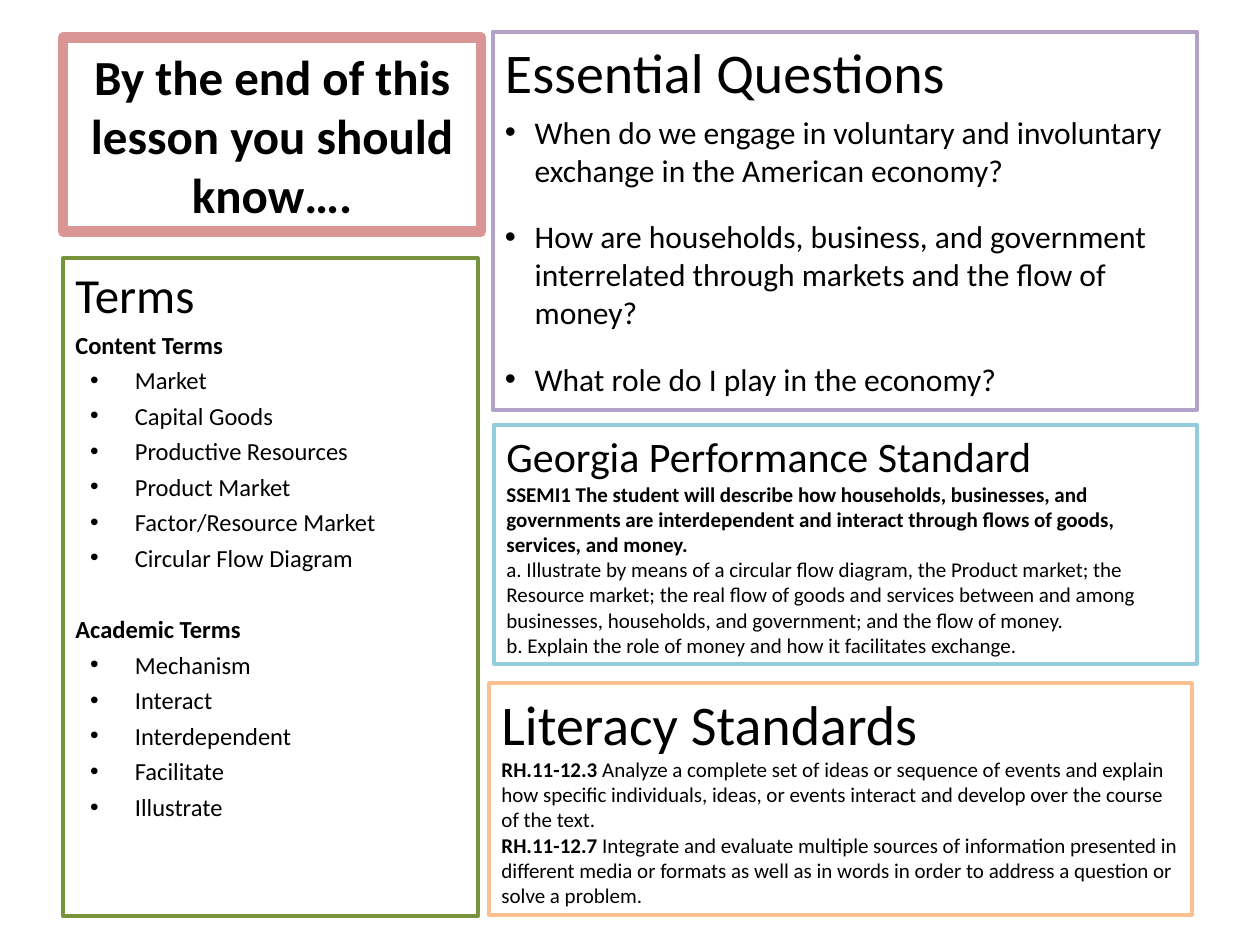
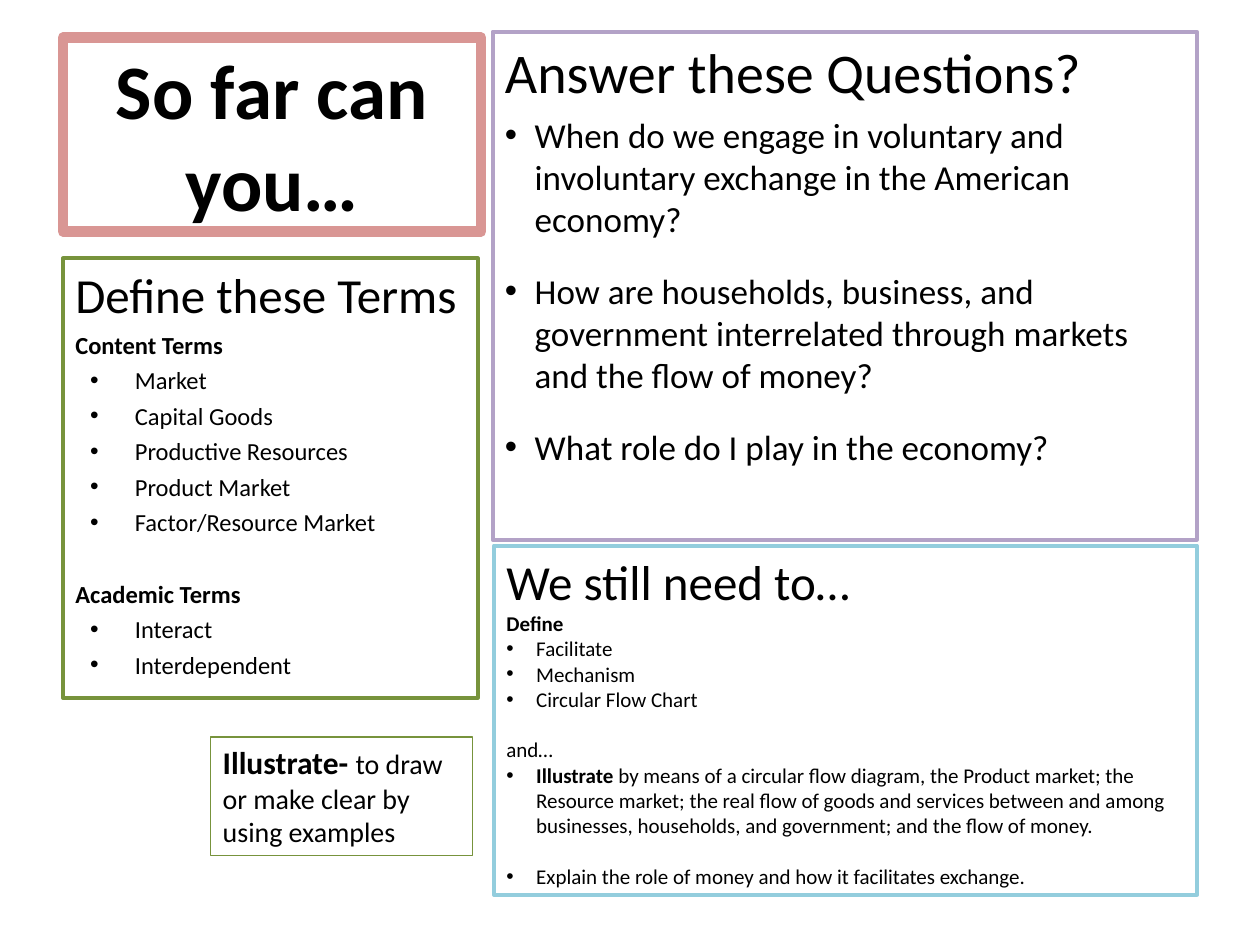
from pptx import Presentation
from pptx.dml.color import RGBColor
from pptx.enum.shapes import MSO_SHAPE
from pptx.enum.text import MSO_ANCHOR, PP_ALIGN
from pptx.oxml.ns import qn
from pptx.util import Cm, Pt
from lxml.etree import SubElement

BLACK = RGBColor(0x00, 0x00, 0x00)
ROSE = RGBColor(0xD9, 0x96, 0x94)
MAUVE = RGBColor(0xB3, 0xA2, 0xC7)
GREEN = RGBColor(0x77, 0x93, 0x3C)
BLUE = RGBColor(0x93, 0xCD, 0xDD)
PEACH = RGBColor(0xFA, 0xC0, 0x90)
FONT = "Calibri"

ASKS = [
    "When do we engage in voluntary and involuntary exchange in the American economy?",
    "How are households, business, and government interrelated through markets and the flow of money?",
    "What role do I play in the economy?",
]
TERMS = ["Market", "Capital Goods", "Productive Resources", "Product Market", "Factor/Resource Market"]
FLOW = ("by means of a circular flow diagram, the Product market; the Resource market; "
        "the real flow of goods and services between and among businesses, households, "
        "and government; and the flow of money.")
ROLE = "Explain the role of money and how it facilitates exchange."

TERM = dict(size=14, before=3.5)
ITEM = dict(TERM, left=1.2, hang=0.9)
HEAD = dict(TERM, bold=True)
NOTE = dict(size=12)
POINT = dict(NOTE, left=0.6, hang=0.6)
GAP = 14.6


def ask_list(size):
    form = dict(size=size, before=size / 4, after=12, left=0.6, hang=0.6)
    return [(text, form) for text in ASKS]


def term_list(terms, skills):
    return [
        ("Content Terms", HEAD),
        *[(text, ITEM) for text in terms],
        ("Academic Terms", dict(HEAD, before=24.1)),
        *[(text, ITEM) for text in skills],
    ]


def title_box(text, size):
    form = dict(size=size, bold=True, align=PP_ALIGN.CENTER)
    return dict(at=(1.27, 0.76, 8.43, 3.91), line=ROSE, width=6,
                anchor=MSO_ANCHOR.MIDDLE, paras=[(text, form)])


def ask_box(head, size, height):
    return dict(at=(9.93, 0.64, 14.2, height), line=MAUVE,
                paras=[(head, dict(size=32)), *ask_list(size)])


def term_box(head, terms, skills, height):
    return dict(at=(1.27, 5.21, 8.36, height), line=GREEN,
                paras=[(head, dict(size=28)), *term_list(terms, skills)])


SLIDES = [
    [
        title_box("By the end of this lesson you should know….", 28),
        ask_box("Essential Questions", 18, 7.62),
        term_box("Terms", TERMS + ["Circular Flow Diagram"],
                 ["Mechanism", "Interact", "Interdependent", "Facilitate", "Illustrate"], 13.26),
        dict(at=(9.96, 8.56, 14.17, 4.83), line=BLUE, paras=[
            ("Georgia Performance Standard", dict(size=24)),
            ("SSEMI1 The student will describe how households, businesses, and governments are "
             "interdependent and interact through flows of goods, services, and money.",
             dict(NOTE, bold=True)),
            ("a. Illustrate " + FLOW, NOTE),
            ("b. " + ROLE, NOTE),
        ]),
        dict(at=(9.86, 13.77, 14.17, 4.67), line=PEACH, paras=[
            ("Literacy Standards", dict(size=32)),
            ("Analyze a complete set of ideas or sequence of events and explain how specific "
             "individuals, ideas, or events interact and develop over the course of the text.",
             dict(NOTE, lead="RH.11-12.3 ")),
            ("Integrate and evaluate multiple sources of information presented in different media "
             "or formats as well as in words in order to address a question or solve a problem.",
             dict(NOTE, lead="RH.11-12.7 ")),
        ]),
    ],
    [
        title_box("So far can you…", 44),
        ask_box("Answer these Questions?", 20, 10.24),
        term_box("Define these Terms", TERMS, ["Interact", "Interdependent"], 8.86),
        dict(at=(9.96, 11, 14.17, 7.04), line=BLUE, paras=[
            ("We still need to…", dict(size=28)),
            ("Define", dict(NOTE, bold=True)),
            *[(text, POINT) for text in ("Facilitate", "Mechanism", "Circular Flow Chart")],
            ("and…", dict(NOTE, before=GAP)),
            (FLOW, dict(POINT, lead="Illustrate ")),
            (ROLE, dict(POINT, before=GAP)),
        ]),
        dict(at=(4.24, 14.86, 5.28, 2.39), line=GREEN, width=0.75, paras=[
            ("to draw or make clear by using examples",
             dict(size=16, lead="Illustrate- ", lead_size=18)),
        ]),
    ],
]


def write(para, text, size, bold=False, lead="", lead_size=None,
          before=0, after=0, left=0, hang=0, align=PP_ALIGN.LEFT):
    if hang:
        props = para._p.get_or_add_pPr()
        props.set("marL", str(Cm(left)))
        props.set("indent", str(-Cm(hang)))
        SubElement(props, qn("a:buFont")).set("typeface", "Arial")
        SubElement(props, qn("a:buChar")).set("char", "•")
    para.alignment = align
    para.space_before = Pt(before)
    para.space_after = Pt(after)
    for part, points, heavy in ((lead, lead_size or size, True), (text, size, bold)):
        if part:
            run = para.add_run()
            run.text = part
            run.font.name = FONT
            run.font.size = Pt(points)
            run.font.bold = heavy
            run.font.color.rgb = BLACK


def draw_box(slide, at, line, paras, width=2.25, anchor=MSO_ANCHOR.TOP):
    box = slide.shapes.add_shape(MSO_SHAPE.RECTANGLE, *map(Cm, at))
    box.shadow.inherit = False
    box.fill.background()
    box.line.color.rgb = line
    box.line.width = Pt(width)
    frame = box.text_frame
    frame.word_wrap = True
    frame.vertical_anchor = anchor
    for spot, (text, form) in enumerate(paras):
        para = frame.add_paragraph() if spot else frame.paragraphs[0]
        write(para, text, **form)


def main():
    deck = Presentation()
    deck.slide_width, deck.slide_height = Cm(25.4), Cm(19.05)
    for boxes in SLIDES:
        slide = deck.slides.add_slide(deck.slide_layouts[6])
        for box in boxes:
            draw_box(slide, **box)
    deck.save("out.pptx")


if __name__ == "__main__":
    main()
